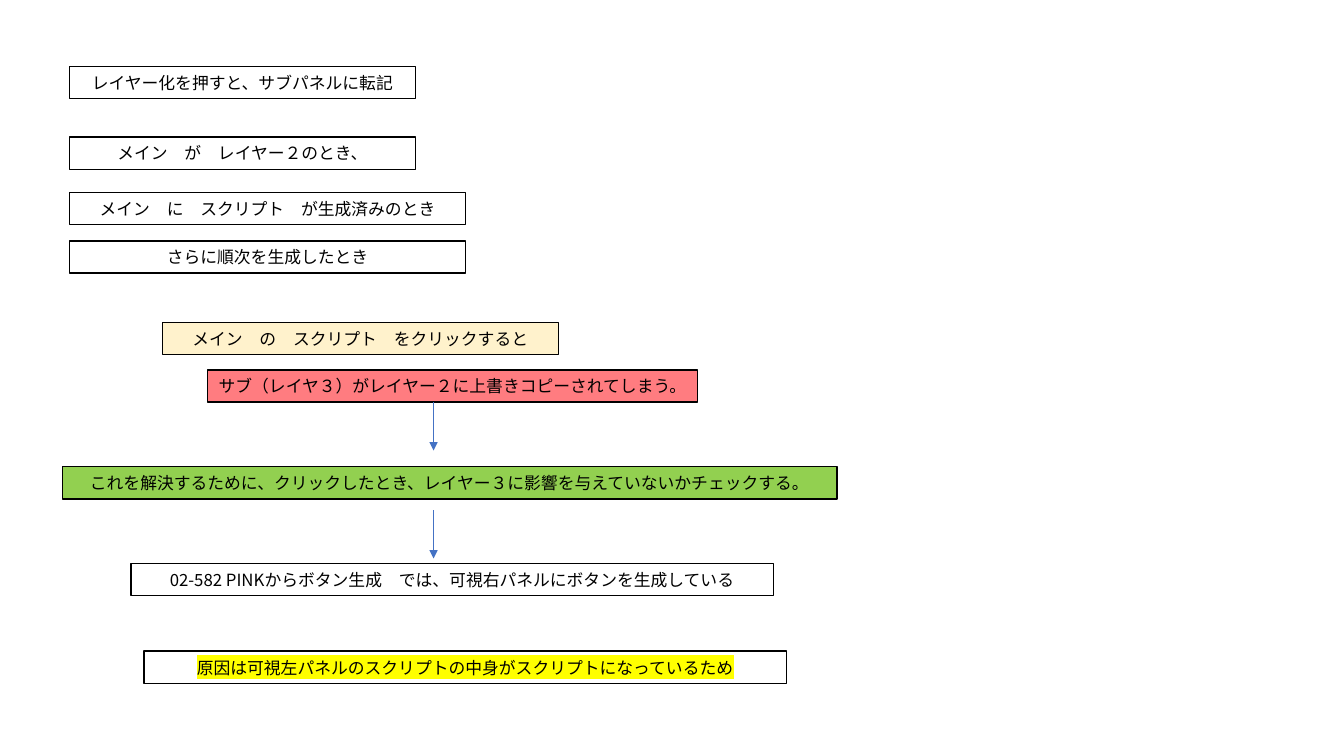
from dataclasses import dataclass

from lxml.etree import SubElement
from pptx import Presentation
from pptx.dml.color import RGBColor
from pptx.enum.shapes import MSO_CONNECTOR, MSO_SHAPE
from pptx.enum.text import MSO_ANCHOR, PP_ALIGN
from pptx.oxml.ns import qn
from pptx.slide import Slide
from pptx.text.text import TextFrame
from pptx.util import Inches, Pt


@dataclass(frozen=True)
class Theme:
    font: str = "Noto Sans CJK JP"
    size: float = 12
    ink: str = "000000"
    plain: str = "FFFFFF"
    cream: str = "FFF2CC"
    red: str = "FF7C80"
    green: str = "92D050"
    mark: str = "FFFF00"
    arrow: str = "4472C4"
    edge: float = 1
    thin: float = 0.5


THEME = Theme()
BOX_H = 0.32
INSET = 0.05
ARROW_X = 4.3
ARROW_H = 0.48


@dataclass(frozen=True)
class Box:
    left: float
    top: float
    width: float
    text: str
    fill: str = THEME.plain
    mark: str | None = None


BOXES = [
    Box(0.69, 0.66, 3.43, "レイヤー化を押すと、サブパネルに転記"),
    Box(0.69, 1.36, 3.43, "メイン　が　レイヤー２のとき、"),
    Box(0.69, 1.91, 3.93, "メイン　に　スクリプト　が生成済みのとき"),
    Box(0.69, 2.39, 3.93, "さらに順次を生成したとき"),
    Box(1.61, 3.2, 3.93, "メイン　の　スクリプト　をクリックすると", THEME.cream),
    Box(2.06, 3.67, 4.86, "サブ（レイヤ３）がレイヤー２に上書きコピーされてしまう。", THEME.red),
    Box(0.62, 4.63, 7.68,
        "これを解決するために、クリックしたとき、レイヤー３に影響を与えていないかチェックする。",
        THEME.green),
    Box(1.3, 5.59, 6.37, "02-582 PINKからボタン生成　では、可視右パネルにボタンを生成している"),
    Box(1.43, 6.46, 6.37, "原因は可視左パネルのスクリプトの中身がスクリプトになっているため",
        mark=THEME.mark),
]
ARROW_TOPS = [3.99, 5.06]


def write(frame: TextFrame, text: str, *, size: float = THEME.size,
          color: str = THEME.ink, mark: str | None = None) -> None:
    frame.word_wrap = True
    frame.vertical_anchor = MSO_ANCHOR.MIDDLE
    frame.margin_left = frame.margin_right = Inches(INSET)
    para = frame.paragraphs[0]
    para.alignment = PP_ALIGN.CENTER
    run = para.add_run()
    run.text = text
    run.font.size = Pt(size)
    run.font.color.rgb = RGBColor.from_string(color)
    run.font.name = THEME.font
    props = run.font._element
    latin = props.find(qn("a:latin"))
    SubElement(props, qn("a:ea"), typeface=THEME.font)
    if mark:
        light = SubElement(props, qn("a:highlight"))
        SubElement(light, qn("a:srgbClr"), val=mark)
        latin.addprevious(light)


def draw_box(slide: Slide, box: Box) -> None:
    shape = slide.shapes.add_shape(
        MSO_SHAPE.RECTANGLE, Inches(box.left), Inches(box.top),
        Inches(box.width), Inches(BOX_H))
    shape.shadow.inherit = False
    shape.fill.solid()
    shape.fill.fore_color.rgb = RGBColor.from_string(box.fill)
    shape.line.color.rgb = RGBColor.from_string(THEME.ink)
    shape.line.width = Pt(THEME.edge)
    write(shape.text_frame, box.text, mark=box.mark)


def draw_arrow(slide: Slide, top: float) -> None:
    line = slide.shapes.add_connector(
        MSO_CONNECTOR.STRAIGHT, Inches(ARROW_X), Inches(top),
        Inches(ARROW_X), Inches(top + ARROW_H))
    line.line.color.rgb = RGBColor.from_string(THEME.arrow)
    line.line.width = Pt(THEME.thin)
    props = line._element.spPr
    SubElement(props.find(qn("a:ln")), qn("a:tailEnd"), type="triangle")
    SubElement(props, qn("a:effectLst"))


def main() -> None:
    deck = Presentation()
    deck.slide_width, deck.slide_height = Inches(13.33), Inches(7.5)
    slide = deck.slides.add_slide(deck.slide_layouts.get_by_name("Blank"))
    for box in BOXES:
        draw_box(slide, box)
    for top in ARROW_TOPS:
        draw_arrow(slide, top)
    deck.save("out.pptx")


if __name__ == "__main__":
    main()
